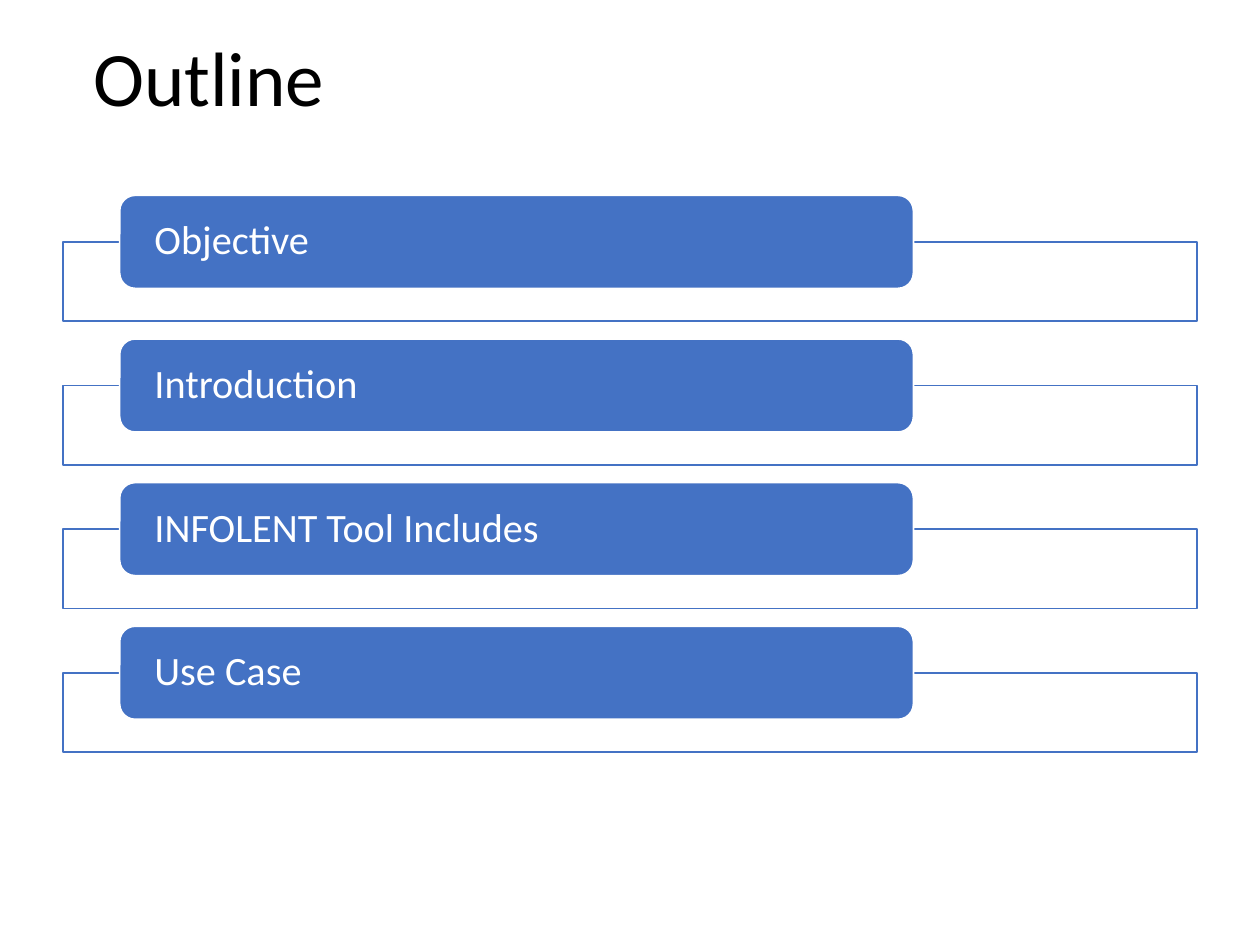
from lxml import etree
from pptx import Presentation
from pptx.dml.color import RGBColor
from pptx.enum import shapes, text
from pptx.oxml.ns import qn
from pptx.util import Pt

COLORS = {"accent": "4472C4", "white": "FFFFFF", "title": "000000"}
TOPICS = ["Objective", "Introduction", "INFOLENT Tool Includes", "Use Case"]
FIRST_TOP, ROW_STEP = 111.6, 82.08
BAR_HEIGHT, FRAME_HEIGHT = 53.2, 45.4


def format_text(shape, size, color, left_inset, right_inset):
    frame = shape.text_frame
    frame_format = {
        "word_wrap": True, "auto_size": text.MSO_AUTO_SIZE.NONE,
        "vertical_anchor": text.MSO_ANCHOR.MIDDLE,
        "margin_left": Pt(left_inset), "margin_right": Pt(right_inset),
        "margin_top": 0, "margin_bottom": 0,
    }
    for name, value in frame_format.items():
        setattr(frame, name, value)
    paragraph = frame.paragraphs[0]
    paragraph.alignment = text.PP_ALIGN.LEFT
    paragraph.line_spacing = 0.9
    font = paragraph.runs[0].font
    for name, value in {"name": "Calibri", "size": Pt(size)}.items():
        setattr(font, name, value)
    font.color.rgb = RGBColor.from_string(COLORS[color])


def add_box(kind, left, top, width, height, fill, line):
    shape = slide.shapes.add_shape(kind, Pt(left), Pt(top), Pt(width), Pt(height))
    shape.shadow.inherit = False
    shape.fill.solid()
    shape.fill.fore_color.rgb = RGBColor.from_string(COLORS[fill])
    shape.line.color.rgb = RGBColor.from_string(COLORS[line])
    shape.line.width = Pt(1)
    return shape


presentation = Presentation()
presentation.slide_width, presentation.slide_height = Pt(720), Pt(540)
slide = presentation.slides.add_slide(presentation.slide_layouts[5])

# Title
title = slide.shapes.title
title_place = {"left": 36, "top": 15.12, "width": 648, "height": 63.36}
for name, value in title_place.items():
    setattr(title, name, Pt(value))
title.text_frame.text = "Outline"
format_text(title, 44, "title", 17.2, 7.2)

# One outlined frame with an overlapping title bar per topic
for row, topic in enumerate(TOPICS):
    top = FIRST_TOP + row * ROW_STEP
    frame_box = add_box(shapes.MSO_SHAPE.RECTANGLE, 36, top + BAR_HEIGHT / 2,
                        648, FRAME_HEIGHT, "white", "accent")
    fill_color = frame_box.fill._xPr.find(qn("a:solidFill"))[0]
    etree.SubElement(fill_color, qn("a:alpha"), val="90000")

    bar = add_box(shapes.MSO_SHAPE.ROUNDED_RECTANGLE, 68.4, top,
                  453.6, BAR_HEIGHT, "accent", "white")
    bar.text_frame.text = topic
    format_text(bar, 23, "white", 17.28, 17.28)

presentation.save("out.pptx")
